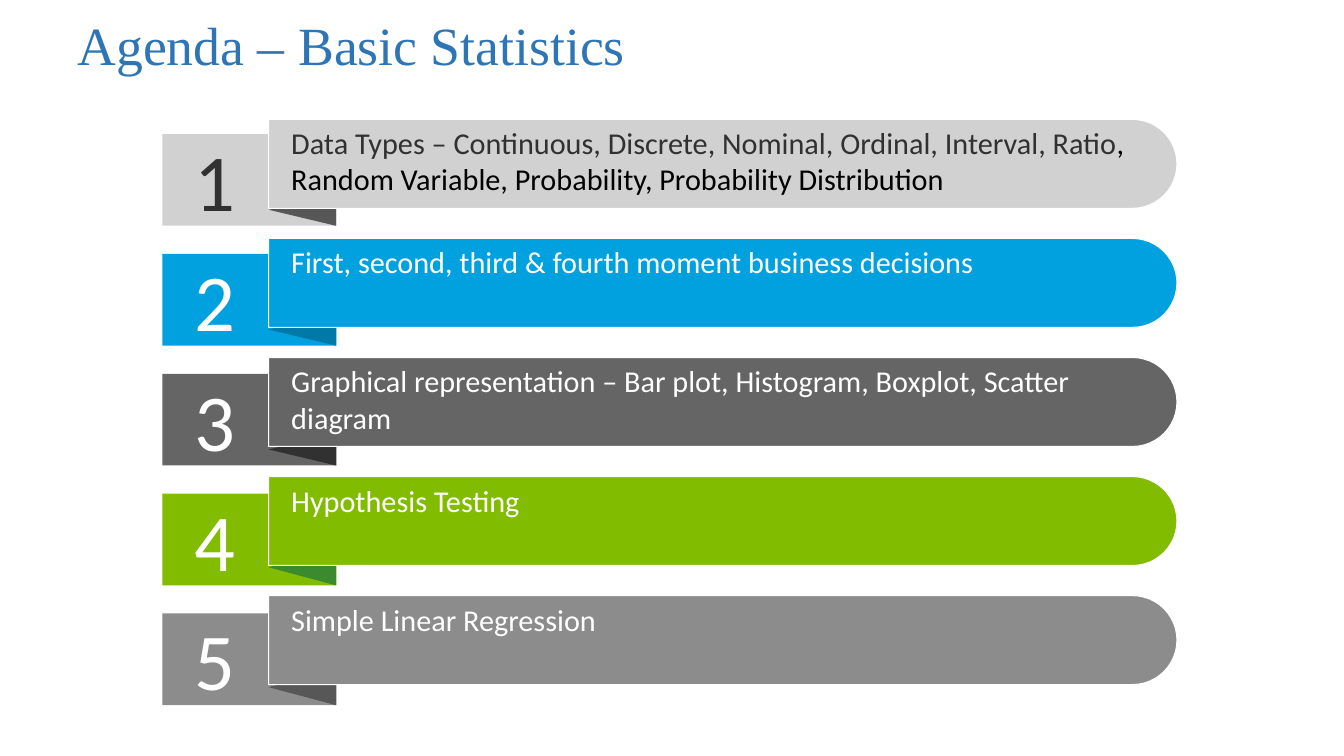
from dataclasses import dataclass

from pptx import Presentation
from pptx.dml.color import RGBColor
from pptx.enum.shapes import MSO_SHAPE
from pptx.enum.text import MSO_ANCHOR, MSO_AUTO_SIZE, PP_ALIGN
from pptx.util import Cm, Pt

RECTANGLE = MSO_SHAPE.RECTANGLE
TRIANGLE = MSO_SHAPE.ISOSCELES_TRIANGLE
ROUNDED_BAR = MSO_SHAPE.ROUND_2_SAME_RECTANGLE
TOP, MIDDLE = MSO_ANCHOR.TOP, MSO_ANCHOR.MIDDLE
LEFT, CENTER = PP_ALIGN.LEFT, PP_ALIGN.CENTER
GROW = MSO_AUTO_SIZE.SHAPE_TO_FIT_TEXT
NO_RESIZE = MSO_AUTO_SIZE.NONE


@dataclass(frozen=True)
class Theme:
    title: str = "2E75B6"
    white: str = "FFFFFF"
    black: str = "000000"
    charcoal: str = "313131"
    shade: str = "575757"
    silver: str = "D1D1D1"
    blue: str = "00A1DE"
    deep_blue: str = "0079A6"
    slate: str = "656565"
    green: str = "81BC00"
    deep_green: str = "3C8A2E"
    gray: str = "8C8C8C"
    title_font: str = "Times New Roman"
    body_font: str = "Calibri"
    title_size: float = 38.4
    number_size: float = 57.6
    topic_size: float = 21.6


THEME = Theme()

AGENDA = [
    (THEME.silver, THEME.shade, THEME.charcoal, 0.81, [
        ("Data Types – Continuous, Discrete, Nominal, Ordinal, Interval, Ratio", THEME.charcoal),
        (", Random Variable, Probability, Probability Distribution", THEME.black)]),
    (THEME.blue, THEME.deep_blue, THEME.white, 0.81, [
        ("First, second, third & fourth moment business decisions", THEME.white)]),
    (THEME.slate, THEME.charcoal, THEME.white, 0.81, [
        ("Graphical representation – Bar plot, Histogram, Boxplot, Scatter diagram", THEME.white)]),
    (THEME.green, THEME.deep_green, THEME.white, 0.91, [
        ("Hypothesis Testing", THEME.white)]),
    (THEME.gray, THEME.shade, THEME.white, 0.91, [
        ("Simple Linear Regression", THEME.white)]),
]

TAB_LEFT, TAB_TOP, TAB_WIDTH, TAB_HEIGHT, TAB_STEP = 4.09, 3.38, 4.39, 2.31, 3.02
BAR_LEFT, BAR_TOP, BAR_WIDTH, BAR_HEIGHT, BAR_STEP = 6.77, 3.01, 22.89, 2.24, 3.0
TOPIC_TOP, TOPIC_STEP = 3.12, 3.01
FOLD_WIDTH = 1.7


def add_span(para, text, *, font, size, color):
    span = para.add_run()
    span.text = text
    span.font.name = font
    span.font.size = Pt(size)
    span.font.color.rgb = RGBColor.from_string(color)


class AgendaSlide:
    def __init__(self, page, theme):
        self.page = page
        self.theme = theme

    def shape(self, kind, left, top, width, height, fill, turn=0, outline=None):
        if turn in (90, 270):
            left, top = left + (width - height) / 2, top + (height - width) / 2
            width, height = height, width
        shape = self.page.shapes.add_shape(kind, Cm(left), Cm(top), Cm(width), Cm(height))
        shape.rotation = turn
        shape.shadow.inherit = False
        shape.fill.solid()
        shape.fill.fore_color.rgb = RGBColor.from_string(fill)
        if outline:
            shape.line.color.rgb = RGBColor.from_string(outline)
            shape.line.width = Pt(0.75)
        else:
            shape.line.fill.background()
        return shape

    def text(self, left, top, width, height, spans, font, size,
             align=LEFT, anchor=TOP, inset=0, resize=GROW, spacing=None):
        box = self.page.shapes.add_textbox(Cm(left), Cm(top), Cm(width), Cm(height))
        frame = box.text_frame
        frame.word_wrap = True
        frame.auto_size = resize
        frame.vertical_anchor = anchor
        frame.margin_left = frame.margin_right = Cm(inset)
        frame.margin_top = frame.margin_bottom = Cm(inset / 2)
        para = frame.paragraphs[0]
        para.alignment = align
        para.line_spacing = spacing
        for words, color in spans:
            add_span(para, words, font=font, size=size, color=color)

    def title(self, words):
        self.text(1.7, 0, 27.43, 2.44, [(words, self.theme.title)],
                  self.theme.title_font, self.theme.title_size,
                  anchor=MIDDLE, inset=0.25, resize=NO_RESIZE, spacing=0.9)

    def ribbon(self, index, fill, fold, number_color, fold_height, topic):
        theme = self.theme
        tab_top = TAB_TOP + index * TAB_STEP
        fold_top = tab_top + TAB_HEIGHT - fold_height
        self.shape(RECTANGLE, TAB_LEFT, tab_top, TAB_WIDTH, TAB_HEIGHT, fill)
        self.shape(TRIANGLE, BAR_LEFT, fold_top, FOLD_WIDTH, fold_height, fold, turn=270)
        bar = self.shape(ROUNDED_BAR, BAR_LEFT, BAR_TOP + index * BAR_STEP,
                         BAR_WIDTH, BAR_HEIGHT, fill, turn=90, outline=theme.white)
        bar.adjustments[0] = 0.5
        bar.adjustments[1] = 0
        self.text(4.27, tab_top - 0.08, 2.31, 2.46, [(str(index + 1), number_color)],
                  theme.body_font, theme.number_size, align=CENTER)
        self.text(7.34, TOPIC_TOP + index * TOPIC_STEP, 21.18, 0.92, topic,
                  theme.body_font, theme.topic_size)


def main():
    deck = Presentation()
    deck.slide_width, deck.slide_height = Cm(33.87), Cm(19.05)
    page = deck.slides.add_slide(deck.slide_layouts[6])
    slide = AgendaSlide(page, THEME)
    for index, entry in enumerate(AGENDA):
        slide.ribbon(index, *entry)
    slide.title("Agenda – Basic Statistics")
    deck.save("out.pptx")


if __name__ == "__main__":
    main()
